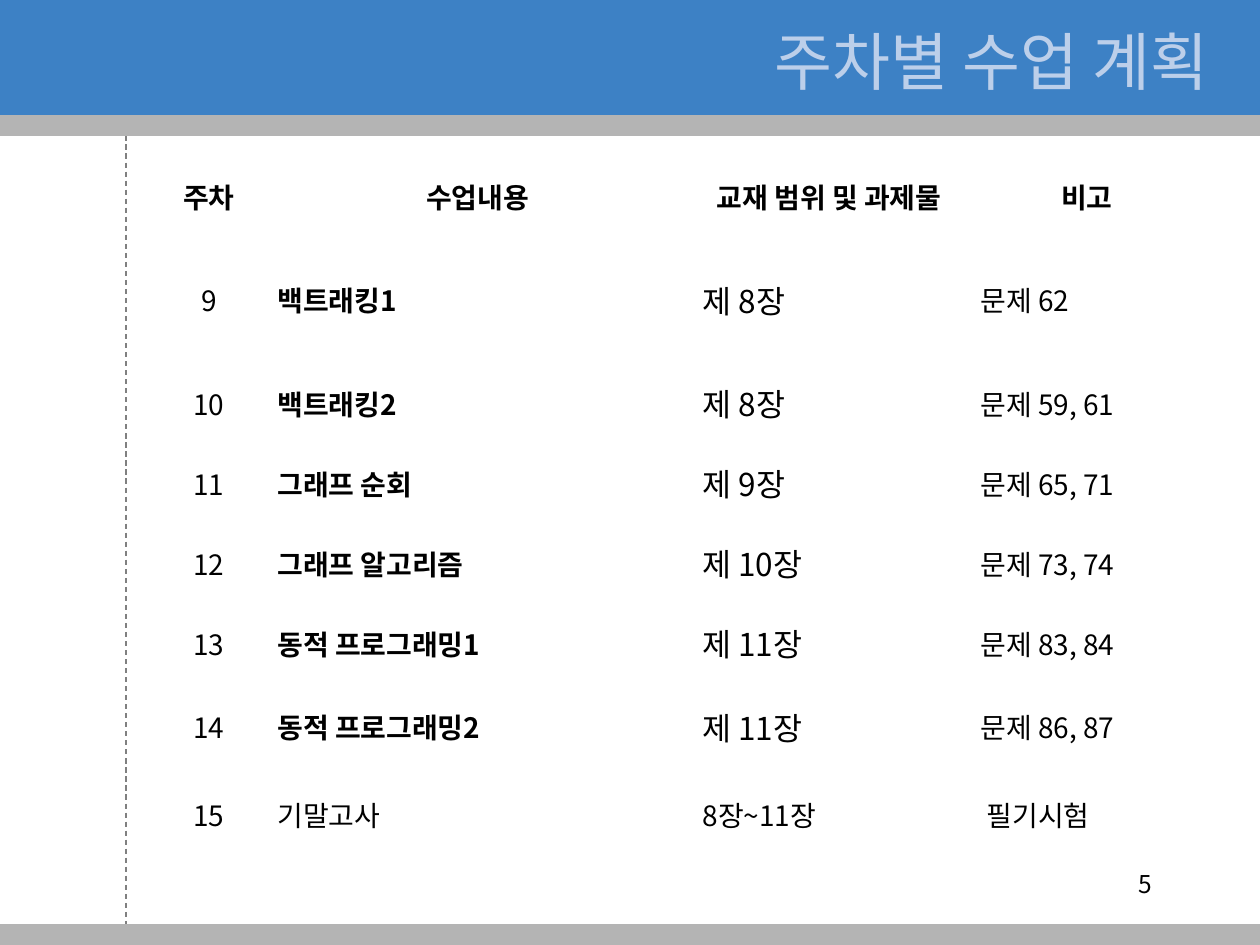
from lxml import etree
from pptx import Presentation
from pptx import util as u
from pptx.dml.color import RGBColor
from pptx.enum import dml, shapes, text
from pptx.oxml.ns import qn

# Content
FONT = "Noto Sans CJK KR"
TITLE = "주차별 수업 계획 "
PAGE_NUMBER = "5"
HEADERS = ("주차", "수업내용", "교재 범위 및 과제물", "비고")
WEEKS = [
    ("9", "백트래킹1", "제 8장", "문제 62"),
    ("10", "백트래킹2", "제 8장", "문제 59, 61"),
    ("11", "그래프 순회", "제 9장", "문제 65, 71"),
    ("12", "그래프 알고리즘", "제 10장", "문제 73, 74"),
    ("13", "동적 프로그래밍1", "제 11장", "문제 83, 84"),
    ("14", "동적 프로그래밍2", "제 11장", "문제 86, 87"),
    ("15", "기말고사", "8장~11장", " 필기시험"),
]
# Bands, back to front: top, height, colour
BANDS = [(105, 31, "B4B4B4"), (0, 115, "3D81C5"), (924, 21, "B4B4B4")]

# Layout in px
WIDTH, HEIGHT = 1260, 945
MARGIN_X = 126
TABLE_LEFT, TABLE_TOP = 153, 156
COLUMN_WIDTHS = (112, 425, 278, 238)
ROW_HEIGHTS = (80, 127, 80, 80, 80, 80, 88, 87)
ALIGN = text.PP_ALIGN
COLUMN_ALIGNS = (ALIGN.CENTER, ALIGN.JUSTIFY, ALIGN.LEFT, ALIGN.LEFT)


def px(length):
    return u.Emu(round(length * 914400 / 126))


def colour(value):
    return RGBColor.from_string(value)


def write(frame, words, size, align, ink="000000", bold=False):
    paragraph = frame.paragraphs[0]
    paragraph.alignment = align
    run = paragraph.add_run()
    run.text = words
    font = run.font
    font.name, font.size, font.bold = FONT, u.Pt(size), bold
    font.color.rgb = colour(ink)
    # East Asian typeface
    etree.SubElement(font._element, qn("a:ea"), typeface=FONT)


def add_text(slide, box, *args, **kwargs):
    frame = slide.shapes.add_textbox(*map(px, box)).text_frame
    frame.word_wrap = True
    frame.vertical_anchor = text.MSO_ANCHOR.MIDDLE
    write(frame, *args, **kwargs)


def add_margin_line(slide):
    line = slide.shapes.add_connector(
        shapes.MSO_CONNECTOR.STRAIGHT, px(MARGIN_X), 0, px(MARGIN_X), px(HEIGHT))
    line.line.color.rgb = colour("808080")
    line.line.width = u.Pt(0.75)
    line.line.dash_style = dml.MSO_LINE.DASH
    etree.SubElement(line._element.spPr, qn("a:effectLst"))


def add_band(slide, top, height, fill):
    band = slide.shapes.add_shape(
        shapes.MSO_SHAPE.RECTANGLE, 0, px(top), px(WIDTH), px(height))
    band.shadow.inherit = False
    band.fill.solid()
    band.fill.fore_color.rgb = colour(fill)
    band.line.fill.background()


def add_schedule(slide):
    rows = [HEADERS] + WEEKS
    table = slide.shapes.add_table(
        len(rows), len(HEADERS), px(TABLE_LEFT), px(TABLE_TOP),
        px(sum(COLUMN_WIDTHS)), px(sum(ROW_HEIGHTS))).table
    table.first_row = table.horz_banding = False
    for column, width in zip(table.columns, COLUMN_WIDTHS):
        column.width = px(width)
    for r, (row, height) in enumerate(zip(rows, ROW_HEIGHTS)):
        table.rows[r].height = px(height)
        header, final = r == 0, r == len(rows) - 1
        for c, words in enumerate(row):
            cell = table.cell(r, c)
            cell.fill.solid()
            cell.fill.fore_color.rgb = colour("FFFFFF")
            cell.vertical_anchor = text.MSO_ANCHOR.MIDDLE
            write(cell.text_frame, words,
                  size=18 if c == 2 and not (header or final) else 16,
                  align=ALIGN.CENTER if header else COLUMN_ALIGNS[c],
                  bold=header or (c == 1 and not final))


def main():
    presentation = Presentation()
    presentation.slide_width, presentation.slide_height = px(WIDTH), px(HEIGHT)
    slide = presentation.slides.add_slide(presentation.slide_layouts[6])
    add_margin_line(slide)
    for band in BANDS:
        add_band(slide, *band)
    add_text(slide, (481, 16, 754, 88), TITLE, 36, ALIGN.RIGHT, ink="BCCFEA")
    add_schedule(slide)
    add_text(slide, (903, 852, 262, 63), PAGE_NUMBER, 14, ALIGN.RIGHT)
    presentation.save("out.pptx")


if __name__ == "__main__":
    main()
